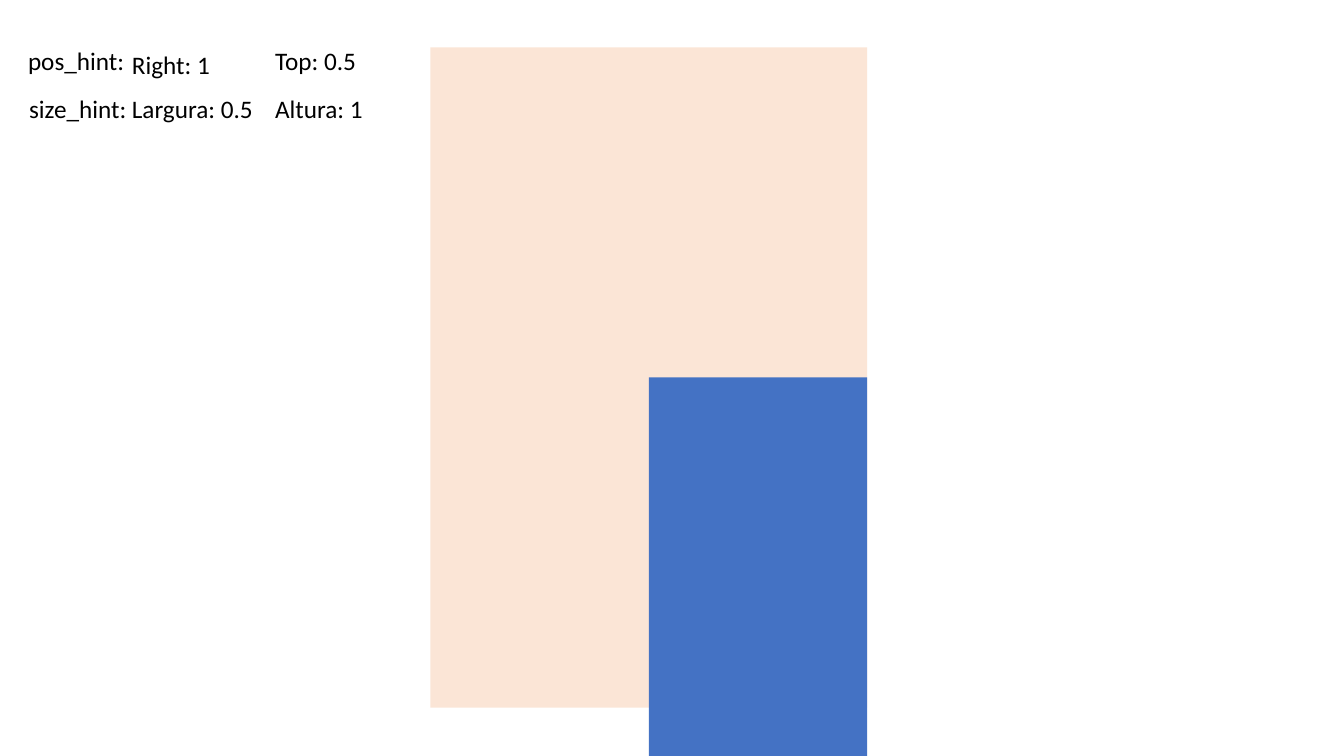
"""Builds a slide showing how pos_hint and size_hint place a widget in its parent."""
from pptx import Presentation
from pptx.dml.color import RGBColor
from pptx.enum.shapes import MSO_SHAPE
from pptx.enum.text import MSO_AUTO_SIZE
from pptx.util import Inches, Pt

RECTANGLE = MSO_SHAPE.RECTANGLE
FIT_SHAPE = MSO_AUTO_SIZE.SHAPE_TO_FIT_TEXT
COLORS = {"parent": "FBE5D6", "widget": "4472C4", "text": "000000"}
LABEL_FONT = {"name": "Calibri", "size": Pt(18)}
LABEL_FRAME = {"word_wrap": False, "auto_size": FIT_SHAPE}
LABEL_HEIGHT = 0.4
LABELS = [
    ("pos_hint:", 0.18, 0.4, 1.17),
    ("Right: 1", 1.21, 0.44, 0.99),
    ("Top: 0.5", 2.63, 0.4, 1.01),
    ("size_hint:", 0.19, 0.88, 1.18),
    ("Largura: 0.5", 1.21, 0.88, 1.42),
    ("Altura: 1", 2.63, 0.88, 1.08),
]
PARENT = (4.27, 0.47, 4.33, 6.55)
WIDGET_HINTS = {"right": 1, "top": 0.5, "width": 0.5, "height": 1}


def set_attributes(target, values):
    """Set every attribute named in values on target."""
    for name, value in values.items():
        setattr(target, name, value)


def place_widget(parent, hints):
    """Return the widget's left, top, width and height inside its parent."""
    left, top, width, height = parent
    widget_width = width * hints["width"]
    return (left + width * hints["right"] - widget_width,
            top + height * (1 - hints["top"]),
            widget_width, height * hints["height"])


def add_rectangle(slide, box, color):
    """Add a filled rectangle without outline."""
    shape = slide.shapes.add_shape(RECTANGLE, *map(Inches, box))
    shape.shadow.inherit = False
    shape.fill.solid()
    shape.fill.fore_color.rgb = RGBColor.from_string(COLORS[color])
    shape.line.fill.background()


def add_label(slide, text, left, top, width):
    """Add a one-line text label."""
    box = map(Inches, (left, top, width, LABEL_HEIGHT))
    frame = slide.shapes.add_textbox(*box).text_frame
    set_attributes(frame, LABEL_FRAME)
    run = frame.paragraphs[0].add_run()
    run.text = text
    set_attributes(run.font, LABEL_FONT)
    run.font.color.rgb = RGBColor.from_string(COLORS["text"])


def main():
    """Build and save the slide."""
    presentation = Presentation()
    set_attributes(presentation, {"slide_width": Inches(13.33), "slide_height": Inches(7.5)})
    slide = presentation.slides.add_slide(presentation.slide_layouts[6])
    add_rectangle(slide, PARENT, "parent")
    add_rectangle(slide, place_widget(PARENT, WIDGET_HINTS), "widget")
    for label in LABELS:
        add_label(slide, *label)
    presentation.save("out.pptx")


main()
